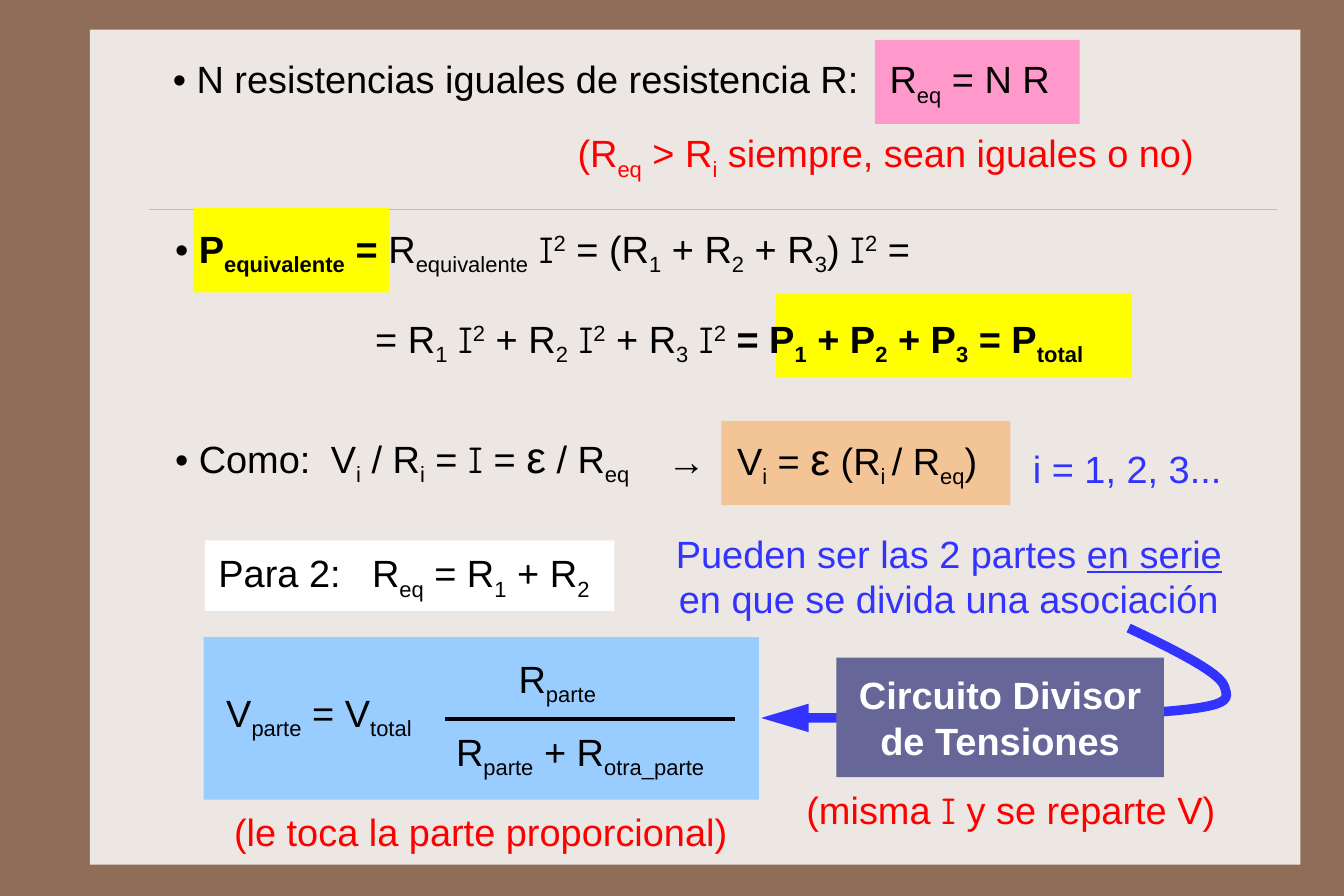
from lxml import etree
from pptx import Presentation
from pptx.dml.color import RGBColor
from pptx.enum.shapes import MSO_CONNECTOR, MSO_SHAPE
from pptx.enum.text import MSO_ANCHOR, MSO_AUTO_SIZE, PP_ALIGN
from pptx.oxml.ns import qn
from pptx.util import Inches, Pt

RECTANGLE = MSO_SHAPE.RECTANGLE
STRAIGHT = MSO_CONNECTOR.STRAIGHT
TOP, MIDDLE = MSO_ANCHOR.TOP, MSO_ANCHOR.MIDDLE
LEFT, CENTER = PP_ALIGN.LEFT, PP_ALIGN.CENTER
FIXED_SIZE = MSO_AUTO_SIZE.NONE

BROWN, CARD, SAND = "906D58", "EDE7E3", "CBBD83"
BLACK, WHITE, RED, BLUE = "000000", "FFFFFF", "FF0000", "3333FF"
YELLOW, PINK, ORANGE, SKY, SLATE = "FFFF00", "FF99CC", "F3C495", "99CCFF", "666699"
BODY_FONT, CURRENT_FONT = "Arial", "Comic Neue"
BODY_SIZE, EPSILON_SIZE = 24, 28

SLIDE_WIDTH, SLIDE_HEIGHT = 11.8125, 7.875
CARD_AT = (0.79, 0.26, 10.64, 7.34)
DIVIDER = ((1.31, 1.84), (11.22, 1.84), SAND, 0.25)
FRACTION_BAR = ((3.91, 6.32), (6.46, 6.32), BLACK, 2)

ARROW_START = (9.92, 5.52)
ARROW_CURVES = [
    ((10.32, 5.71), (10.72, 5.91), (10.76, 6.03)),
    ((10.8, 6.15), (10.84, 6.21), (10.16, 6.26)),
    ((9.48, 6.3), (8.08, 6.31), (6.69, 6.31)),
]
CURVE_STEPS = 12

PANELS = [
    ((6.82, 2.58, 3.13, 0.74), YELLOW),
    ((1.7, 1.83, 1.72, 0.74), YELLOW),
    ((7.69, 0.35, 1.8, 0.74), PINK),
    ((1.79, 5.6, 4.88, 1.43), SKY),
    ((6.34, 3.7, 2.54, 0.74), ORANGE),
    ((1.8, 4.75, 3.6, 0.62), WHITE),
    ((7.35, 5.78, 2.88, 1.05), SLATE),
]
PARA_2, DIVISOR = 5, 6

# Run marks: _ subscript, ^ superscript, ! current symbol, * bold, ~ underline, # large
FORMULAS = [
    ((1.42, 0.4, 8.85, 0.59), "• N resistencias iguales de resistencia R:\tR|_eq| = N R", BLACK, 6.3),
    ((1.44, 1.89, 6.2, 0.58),
     "•|* P|*_equivalente|* =| R|_equivalente| |!I|^2| = (R|_1| + R|_2| + R|_3|) |!I|^2| =", BLACK, None),
    ((3.2, 2.68, 6.06, 0.58),
     "= R|_1| |!I|^2| + R|_2| |!I|^2| + R|_3| |!I|^2| |*= P|*_1|* + P|*_2|* + P|*_3|* = P|*_total",
     BLACK, None),
    ((1.44, 3.68, 3.83, 0.65), "• Como:\tV|_i| / R|_i| = |!I| = |#ε| / R|_eq", BLACK, 1.37),
    ((5.77, 3.7, 2.54, 0.65), "→\tV|_i| = |#ε| (R|_i |/ R|_eq|)", BLACK, 0.61),
    ((8.98, 3.83, 1.57, 0.51), "i = 1, 2, 3...", BLUE, None),
    ((1.89, 5.97, 2.03, 0.58), "V|_parte| = V|_total", BLACK, None),
    ((3.91, 6.31, 2.69, 0.58), "R|_parte| + R|_otra_parte", BLACK, None),
    ((4.46, 5.67, 0.98, 0.58), "R|_parte", BLACK, None),
]
REMARKS = [
    ((4.3, 1.05, 6.97, 0.59), "(R|_eq| > R|_i| siempre, sean iguales o no)", RED, TOP, None),
    ((5.81, 4.47, 5.06, 1.18),
     "Pueden ser las 2 partes |~en serie| en que se divida una asociación", BLUE, MIDDLE, None),
    ((6.95, 6.89, 3.87, 0.52), "(misma |!I| y se reparte V)", RED, TOP, 24),
    ((1.78, 7.02, 4.89, 0.59), "(le toca la parte proporcional)", RED, TOP, None),
]


def rgb(hex_color):
    return RGBColor.from_string(hex_color)


def inches(values):
    return [Inches(value) for value in values]


def add_panel(slide, at, fill):
    panel = slide.shapes.add_shape(RECTANGLE, *inches(at))
    panel.shadow.inherit = False
    panel.fill.solid()
    panel.fill.fore_color.rgb = rgb(fill)
    panel.line.fill.background()
    return panel


def add_line(slide, start, end, color, width):
    line = slide.shapes.add_connector(STRAIGHT, *inches(start + end))
    line.line.color.rgb = rgb(color)
    line.line.width = Pt(width)
    etree.SubElement(line._element.spPr, qn("a:effectLst"))


def add_run(paragraph, marked):
    text = marked.lstrip("_^!*~#")
    marks = marked[:len(marked) - len(text)]
    run = paragraph.add_run()
    run.text = text
    if "*" in marks:
        run.font.bold = True
    if "~" in marks:
        run.font.underline = True
    if "!" in marks:
        run.font.name = CURRENT_FONT
    if "#" in marks:
        run.font.size = Pt(EPSILON_SIZE)
    for mark, baseline in (("_", "-25000"), ("^", "30000")):
        if mark in marks:
            run.font._element.set("baseline", baseline)


def write(shape, text, color, align=LEFT, anchor=TOP, wrap=True, insets=(0.1, 0.09),
          tab=None, spacing=None):
    frame = shape.text_frame
    frame.auto_size = FIXED_SIZE
    frame.word_wrap = wrap
    frame.vertical_anchor = anchor
    frame.margin_left = frame.margin_right = Inches(insets[0])
    frame.margin_top = frame.margin_bottom = Inches(insets[1])
    paragraph = frame.paragraphs[0]
    paragraph.alignment = align
    if tab:
        tabs = etree.SubElement(paragraph._p.get_or_add_pPr(), qn("a:tabLst"))
        etree.SubElement(tabs, qn("a:tab"), pos=str(Inches(tab)), algn="l")
    if spacing:
        paragraph.line_spacing = Pt(spacing)
    paragraph.font.name = BODY_FONT
    paragraph.font.size = Pt(BODY_SIZE)
    paragraph.font.color.rgb = rgb(color)
    for marked in text.split("|"):
        add_run(paragraph, marked)


def curve_points(start, curves):
    for first, second, end in curves:
        for step in range(1, CURVE_STEPS + 1):
            t = step / CURVE_STEPS
            weights = ((1 - t) ** 3, 3 * t * (1 - t) ** 2, 3 * t * t * (1 - t), t ** 3)
            corners = (start, first, second, end)
            yield tuple(Inches(sum(w * c[axis] for w, c in zip(weights, corners)))
                        for axis in (0, 1))
        start = end


def add_arrow(slide):
    builder = slide.shapes.build_freeform(*inches(ARROW_START))
    builder.add_line_segments(list(curve_points(ARROW_START, ARROW_CURVES)), close=False)
    arrow = builder.convert_to_shape()
    arrow.shadow.inherit = False
    arrow.fill.background()
    arrow.line.color.rgb = rgb(BLUE)
    arrow.line.width = Pt(6)
    outline = arrow.line._get_or_add_ln()
    etree.SubElement(outline, qn("a:round"))
    etree.SubElement(outline, qn("a:tailEnd"), type="triangle", w="med", len="lg")


def main():
    deck = Presentation()
    deck.slide_width = Inches(SLIDE_WIDTH)
    deck.slide_height = Inches(SLIDE_HEIGHT)
    slide = deck.slides.add_slide(deck.slide_layouts[6])
    slide.background.fill.solid()
    slide.background.fill.fore_color.rgb = rgb(BROWN)

    add_panel(slide, CARD_AT, CARD)
    add_line(slide, *DIVIDER)
    add_arrow(slide)
    panels = [add_panel(slide, at, fill) for at, fill in PANELS]
    write(panels[PARA_2], "Para 2:\tR|_eq| = R|_1| + R|_2", BLACK, anchor=MIDDLE,
          insets=(0.12, 0.08), tab=1.35)
    write(panels[DIVISOR], "*Circuito Divisor de Tensiones", WHITE, CENTER, MIDDLE,
          insets=(0.12, 0.12))
    add_line(slide, *FRACTION_BAR)

    for at, text, color, tab in FORMULAS:
        write(slide.shapes.add_textbox(*inches(at)), text, color, wrap=False, tab=tab)
    for at, text, color, anchor, spacing in REMARKS:
        write(slide.shapes.add_textbox(*inches(at)), text, color, CENTER, anchor, spacing=spacing)

    deck.save("out.pptx")


if __name__ == "__main__":
    main()
